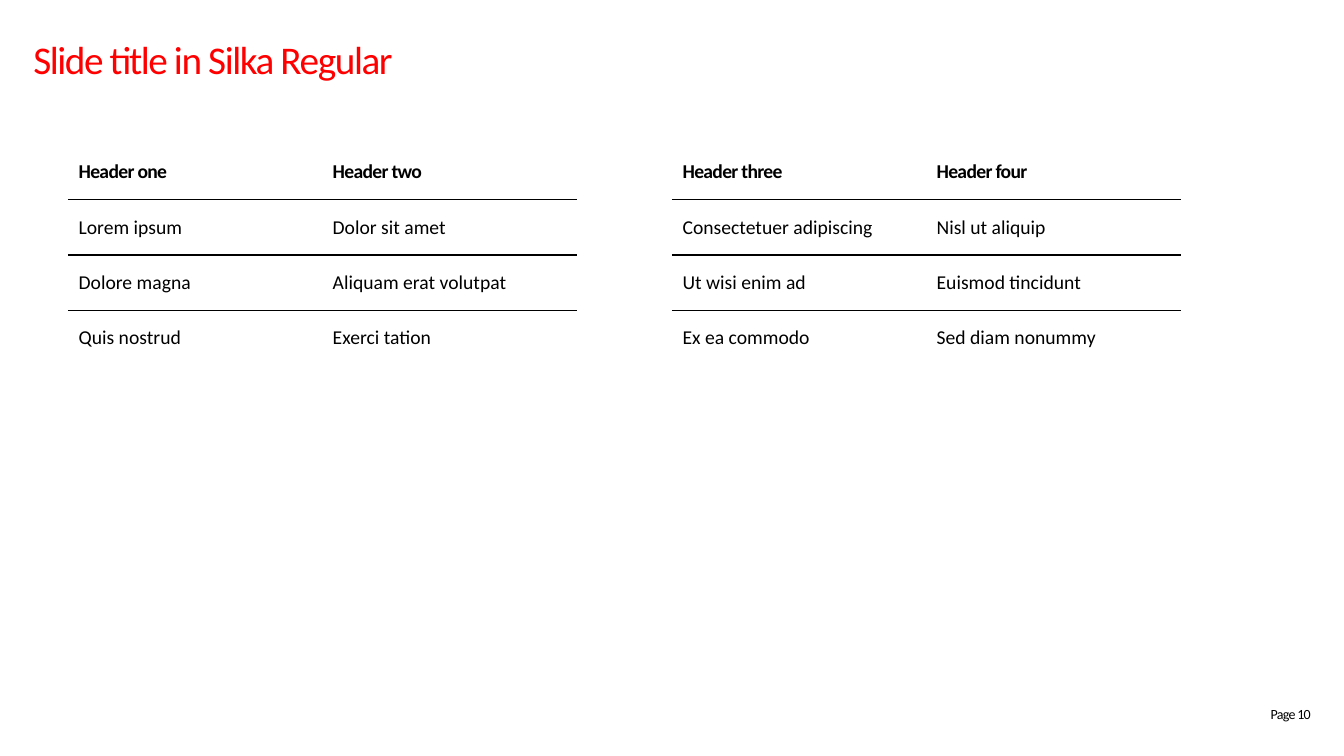
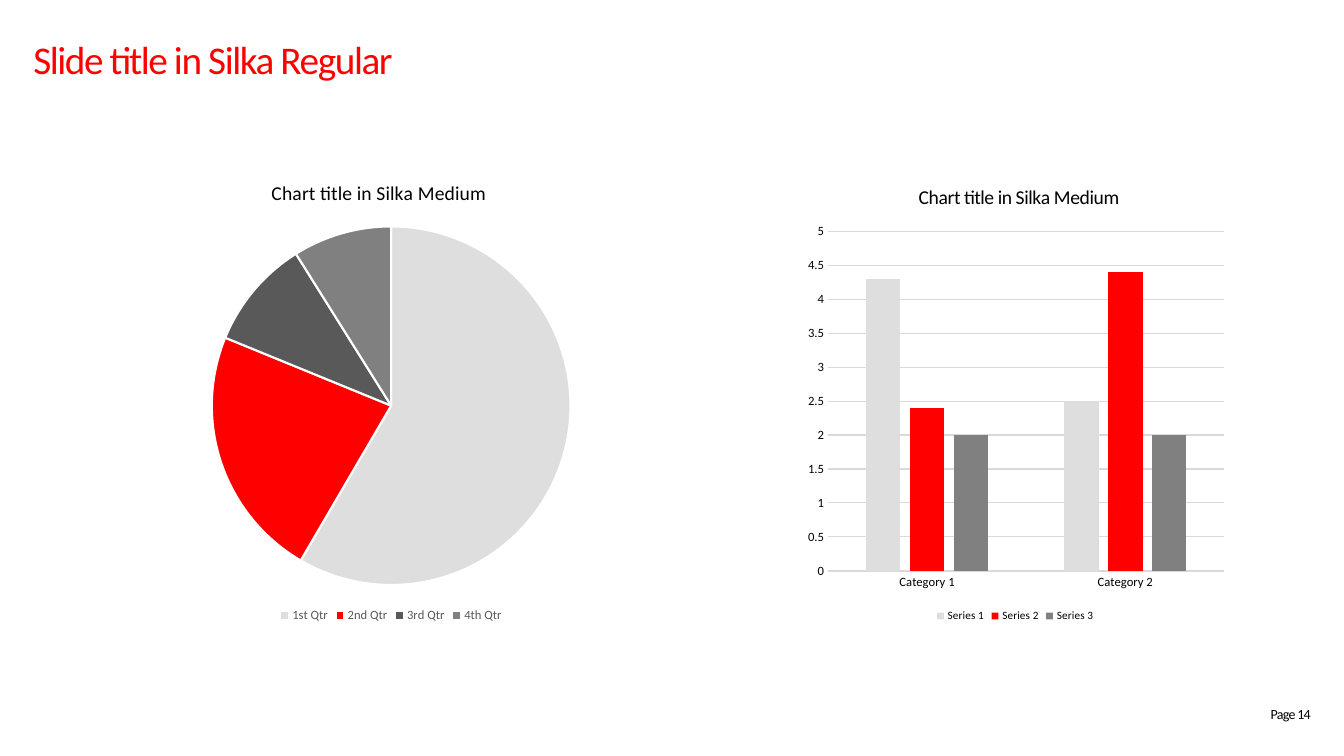
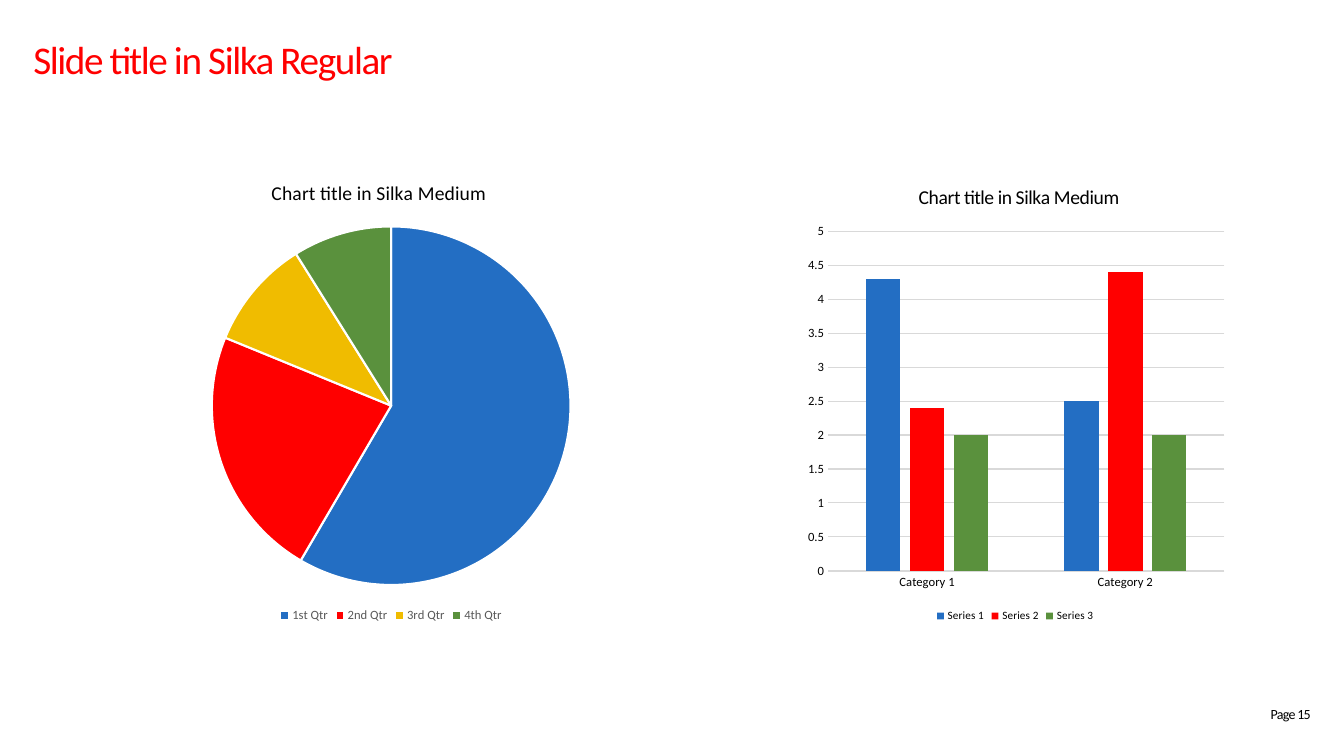
from dataclasses import dataclass

from lxml.etree import SubElement
from pptx import Presentation
from pptx.chart.chart import Chart
from pptx.chart.data import CategoryChartData
from pptx.dml.color import RGBColor
from pptx.enum.chart import XL_CHART_TYPE, XL_LEGEND_POSITION, XL_TICK_MARK
from pptx.enum.text import MSO_ANCHOR, MSO_AUTO_SIZE, PP_ALIGN
from pptx.oxml import parse_xml
from pptx.oxml.ns import nsdecls, qn
from pptx.slide import Slide
from pptx.table import _Cell
from pptx.text.text import TextFrame
from pptx.util import Inches, Pt

FONT = "Calibri"
BLACK = RGBColor(0x00, 0x00, 0x00)
WHITE = RGBColor(0xFF, 0xFF, 0xFF)
RED = RGBColor(0xFF, 0x00, 0x00)
SILVER = RGBColor(0xDE, 0xDE, 0xDE)
GRID_GREY = RGBColor(0xD9, 0xD9, 0xD9)
MID_GREY = RGBColor(0x80, 0x80, 0x80)
DARK_GREY = RGBColor(0x59, 0x59, 0x59)
BLUE = RGBColor(0x23, 0x6E, 0xC3)
YELLOW = RGBColor(0xF0, 0xBC, 0x00)
GREEN = RGBColor(0x5A, 0x91, 0x3D)

SLIDE_TITLE = "Slide title in Silka Regular"
CHART_TITLE = "Chart title in Silka Medium"
COL_W, ROW_H = 2.52, 0.55
CHART_TOP, CHART_H = 1.6, 4.62


@dataclass(frozen=True)
class TableBlock:
    left: float
    rows: list[tuple[str, str]]


@dataclass(frozen=True)
class ChartBlock:
    """Title and plot positions are fractions of the chart's size."""
    kind: XL_CHART_TYPE
    left: float
    width: float
    categories: list[str]
    series: dict[str, list[float]]
    title_at: tuple[float, float]
    title_spacing: float
    plot_at: tuple[float, float, float, float]
    legend_size: float
    legend_color: RGBColor


@dataclass(frozen=True)
class ChartPage:
    number: int
    pie_colors: list[RGBColor]
    column_colors: list[RGBColor]


TABLES = [
    TableBlock(0.68, [
        ("Header one", "Header two"),
        ("Lorem ipsum", "Dolor sit amet"),
        ("Dolore magna", "Aliquam erat volutpat"),
        ("Quis nostrud", "Exerci tation"),
    ]),
    TableBlock(6.67, [
        ("Header three", "Header four"),
        ("Consectetuer adipiscing", "Nisl ut aliquip"),
        ("Ut wisi enim ad", "Euismod tincidunt"),
        ("Ex ea commodo", "Sed diam nonummy"),
    ]),
]
COLUMNS = ChartBlock(
    XL_CHART_TYPE.COLUMN_CLUSTERED, 7.91, 4.32, ["Category 1", "Category 2"],
    {"Series 1": [4.3, 2.5], "Series 2": [2.4, 4.4], "Series 3": [2, 2]},
    (0.27, 0.04), -0.4, (0.07, 0.15, 0.91, 0.73), 8, BLACK)
PIE = ChartBlock(
    XL_CHART_TYPE.PIE, 1.1, 5.56, ["1st Qtr", "2nd Qtr", "3rd Qtr", "4th Qtr"],
    {"Series 1": [59, 23, 10, 9]},
    (0.28, 0.03), 0, (0.18, 0.14, 0.64, 0.77), 9, DARK_GREY)
CHART_PAGES = [
    ChartPage(14, [SILVER, RED, DARK_GREY, MID_GREY], [SILVER, RED, MID_GREY]),
    ChartPage(15, [BLUE, RED, YELLOW, GREEN], [BLUE, RED, GREEN]),
]


def style_font(font, size: float, color: RGBColor = BLACK, bold: bool = False) -> None:
    font.name = FONT
    font.size = Pt(size)
    font.bold = bold
    font.color.rgb = color


def write(tf: TextFrame, text: str, *, size: float, color: RGBColor = BLACK,
          bold: bool = False, spacing: float = 0,
          align: PP_ALIGN = PP_ALIGN.LEFT) -> None:
    """Write one paragraph; spacing is the letter spacing in points."""
    p = tf.paragraphs[0]
    p.alignment = align
    r = p.add_run()
    r.text = text
    style_font(r.font, size, color, bold)
    if spacing:
        r._r.get_or_add_rPr().set("spc", str(round(spacing * 100)))


def clear_margins(tf: TextFrame, anchor: MSO_ANCHOR) -> None:
    tf.margin_left = tf.margin_right = tf.margin_top = tf.margin_bottom = 0
    tf.vertical_anchor = anchor
    tf.auto_size = MSO_AUTO_SIZE.NONE
    tf.word_wrap = True


def add_page(prs: Presentation, number: int) -> Slide:
    """Add a slide with the shared title and page number."""
    slide = prs.slides.add_slide(prs.slide_layouts[5])
    title = slide.shapes.title
    title.left, title.top = Inches(0.33), Inches(0.35)
    title.width, title.height = Inches(12.67), Inches(0.47)
    clear_margins(title.text_frame, MSO_ANCHOR.TOP)
    write(title.text_frame, SLIDE_TITLE, size=28, color=RED, spacing=-1)

    footer = slide.shapes.add_textbox(Inches(10), Inches(7), Inches(3), Inches(0.17))
    clear_margins(footer.text_frame, MSO_ANCHOR.MIDDLE)
    write(footer.text_frame, f"Page {number}", size=10, spacing=-0.5,
          align=PP_ALIGN.RIGHT)
    return slide


def set_borders(cell: _Cell, top: RGBColor, bottom: RGBColor) -> None:
    tc_pr = cell._tc.get_or_add_tcPr()
    for side, color in (("L", WHITE), ("R", WHITE), ("T", top), ("B", bottom)):
        ln = SubElement(tc_pr, qn(f"a:ln{side}"), w=str(Pt(1)))
        fill = SubElement(ln, qn("a:solidFill"))
        SubElement(fill, qn("a:srgbClr"), val=str(color))


def add_ruled_table(slide: Slide, block: TableBlock) -> None:
    """Draw a table with black rules between its rows only."""
    count = len(block.rows)
    table = slide.shapes.add_table(
        count, 2, Inches(block.left), Inches(1.43),
        Inches(2 * COL_W), Inches(count * ROW_H)).table
    table.horz_banding = table.first_row = False
    for i, row in enumerate(block.rows):
        is_header = i == 0
        for j, text in enumerate(row):
            cell = table.cell(i, j)
            cell.vertical_anchor = MSO_ANCHOR.MIDDLE
            set_borders(cell, WHITE if is_header else BLACK,
                        WHITE if i == count - 1 else BLACK)
            cell.fill.background()
            write(cell.text_frame, text, size=14, bold=is_header,
                  spacing=-0.5 if is_header else 0)


def set_layout(parent, index: int, target: str | None, **fractions: float) -> None:
    """Give a chart part a manual layout, as its child number index."""
    for old in parent.findall(qn("c:layout")):
        parent.remove(old)
    layout = parse_xml(f"<c:layout {nsdecls('c')}><c:manualLayout/></c:layout>")
    manual = layout[0]
    if target:
        SubElement(manual, qn("c:layoutTarget"), val=target)
    for name in ("xMode", "yMode"):
        SubElement(manual, qn(f"c:{name}"), val="edge")
    for name, value in fractions.items():
        SubElement(manual, qn(f"c:{name}"), val=str(value))
    parent.insert(index, layout)


def add_titled_chart(slide: Slide, block: ChartBlock) -> Chart:
    data = CategoryChartData()
    data.categories = block.categories
    for name, values in block.series.items():
        data.add_series(name, values)
    chart = slide.shapes.add_chart(
        block.kind, Inches(block.left), Inches(CHART_TOP),
        Inches(block.width), Inches(CHART_H), data).chart
    style_font(chart.font, 10)

    chart.has_title = True
    title = chart.chart_title
    write(title.text_frame, CHART_TITLE, size=14, spacing=block.title_spacing,
          align=PP_ALIGN.CENTER)
    x, y = block.title_at
    set_layout(title._element, 1, None, x=x, y=y)
    x, y, w, h = block.plot_at
    set_layout(chart._chartSpace.chart.plotArea, 0, "inner", x=x, y=y, w=w, h=h)

    chart.has_legend = True
    chart.legend.position = XL_LEGEND_POSITION.BOTTOM
    chart.legend.include_in_layout = False
    style_font(chart.legend.font, block.legend_size, block.legend_color)
    return chart


def add_columns(slide: Slide, colors: list[RGBColor]) -> None:
    chart = add_titled_chart(slide, COLUMNS)
    plot = chart.plots[0]
    plot.vary_by_categories = False
    plot.gap_width, plot.overlap = 219, -27
    for series, color in zip(plot.series, colors):
        series.format.fill.solid()
        series.format.fill.fore_color.rgb = color

    cat_axis, val_axis = chart.category_axis, chart.value_axis
    for axis in (cat_axis, val_axis):
        axis.major_tick_mark = axis.minor_tick_mark = XL_TICK_MARK.NONE
        style_font(axis.tick_labels.font, 9)
    val_axis.minimum_scale, val_axis.maximum_scale, val_axis.major_unit = 0, 5, 0.5
    val_axis.format.line.fill.background()
    for line in (cat_axis.format.line, val_axis.major_gridlines.format.line):
        line.color.rgb = GRID_GREY
        line.width = Pt(0.75)


def add_pie(slide: Slide, colors: list[RGBColor]) -> None:
    plot = add_titled_chart(slide, PIE).plots[0]
    plot.vary_by_categories = True
    for i, color in enumerate(colors):
        fmt = plot.series[0].points[i].format
        fmt.fill.solid()
        fmt.fill.fore_color.rgb = color
        fmt.line.color.rgb = WHITE
        fmt.line.width = Pt(1.5)


def main() -> None:
    prs = Presentation()
    prs.slide_width, prs.slide_height = Inches(13.33), Inches(7.5)
    slide = add_page(prs, 10)
    for block in TABLES:
        add_ruled_table(slide, block)
    for page in CHART_PAGES:
        slide = add_page(prs, page.number)
        add_columns(slide, page.column_colors)
        add_pie(slide, page.pie_colors)
    prs.save("out.pptx")


if __name__ == "__main__":
    main()
